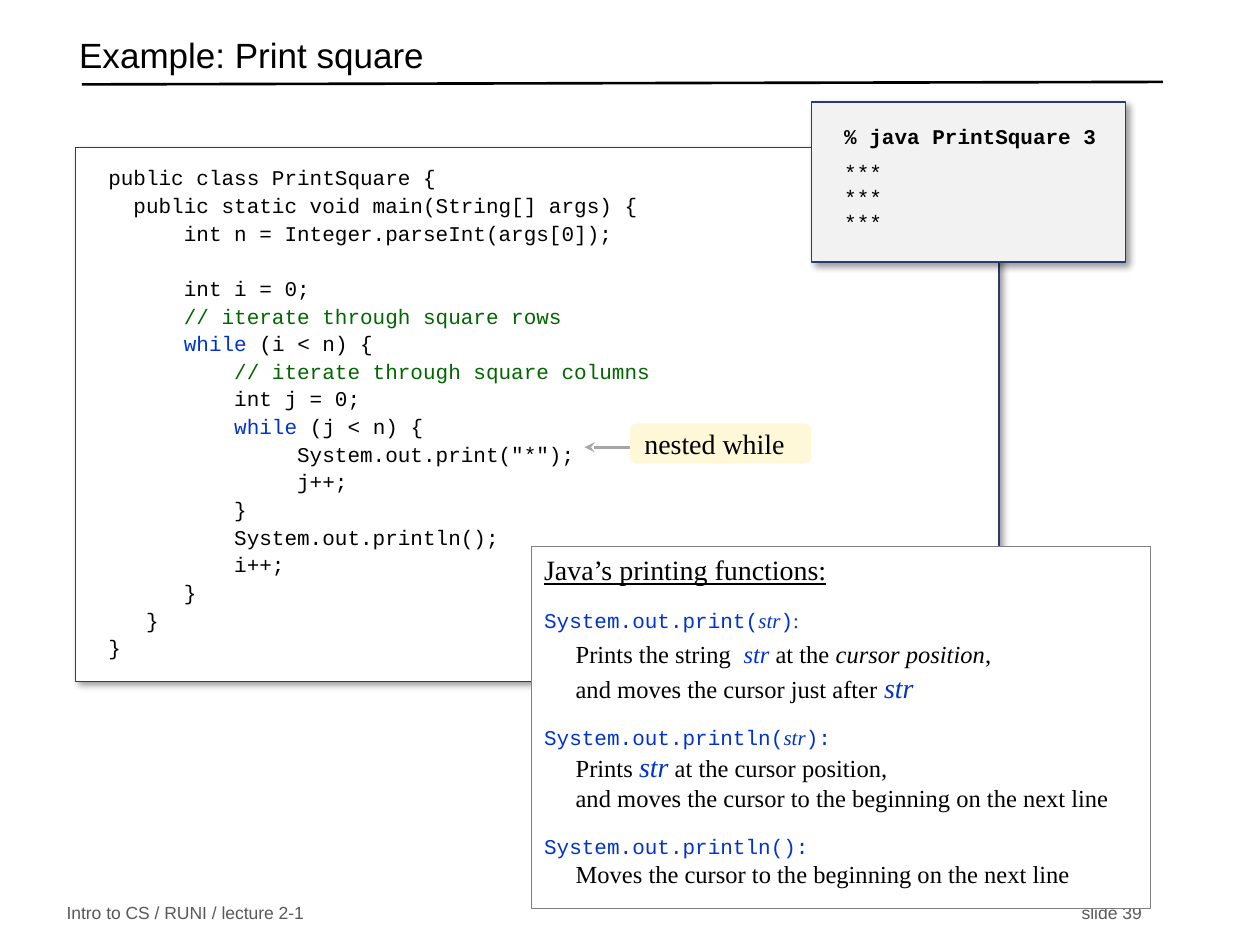
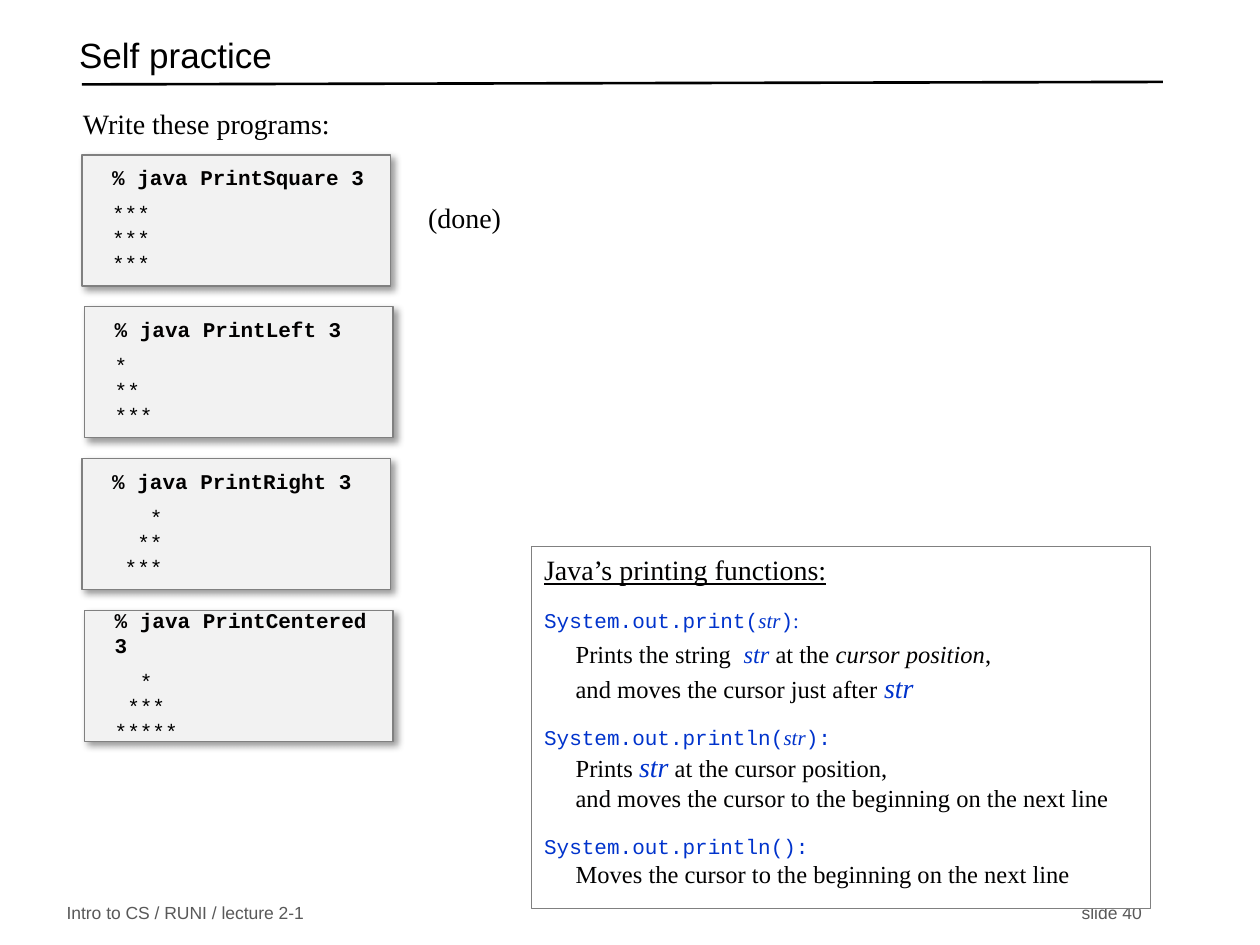
from dataclasses import dataclass

from lxml import etree
from pptx import Presentation
from pptx.dml.color import RGBColor
from pptx.enum.shapes import MSO_CONNECTOR, MSO_SHAPE
from pptx.enum.text import MSO_ANCHOR, PP_ALIGN
from pptx.oxml.ns import qn
from pptx.util import Inches, Pt

RECT, ROUNDED = MSO_SHAPE.RECTANGLE, MSO_SHAPE.ROUNDED_RECTANGLE
STRAIGHT = MSO_CONNECTOR.STRAIGHT
TOP, MIDDLE = MSO_ANCHOR.TOP, MSO_ANCHOR.MIDDLE
LEFT, RIGHT = PP_ALIGN.LEFT, PP_ALIGN.RIGHT


@dataclass(frozen=True)
class Theme:
    sans: str = "Arial"
    mono: str = "Courier New"
    serif: str = "Times New Roman"
    black: str = "000000"
    white: str = "FFFFFF"
    near_black: str = "010000"
    keyword: str = "0033CC"
    comment: str = "006600"
    navy: str = "293973"
    gray: str = "808080"
    arrow: str = "A6A6A6"
    footer: str = "595959"
    console: str = "F2F2F2"
    callout: str = "FFF8D8"
    title_size: int = 20
    heading_size: int = 16
    body_size: int = 14
    code_size: int = 12
    footer_size: int = 10
    code_leading: float = 15.8


THEME = Theme()
DEFAULT_INSETS = (0.1, 0.05, 0.1, 0.05)

SQUARE_CODE = """\
public class PrintSquare {
  public static void main(String[] args) {
      int n = Integer.parseInt(args[0]);

      int i = 0;
      // iterate through square rows
      while (i < n) {
          // iterate through square columns
          int j = 0;
          while (j < n) {
               System.out.print("*");
               j++;
          }
          System.out.println();
          i++;
      }
   }
}"""

SQUARE_OUTPUT = ("***", "***", "***")
PRACTICE_PROGRAMS = [
    ("PrintSquare", SQUARE_OUTPUT),
    ("PrintLeft", ("*", "**", "***")),
    ("PrintRight", ("   *", "  **", " ***")),
    ("PrintCentered", ("  *", " ***", "*****")),
]


# Text
def add_text(paragraph, text, *, font=THEME.serif, size=THEME.heading_size,
             color=THEME.black, bold=False, italic=False, underline=False):
    run = paragraph.add_run()
    run.text = text
    run.font.name = font
    run.font.size = Pt(size)
    run.font.color.rgb = RGBColor.from_string(color)
    run.font.bold = bold
    run.font.italic = italic
    run.font.underline = underline


def next_paragraph(frame, *, before=0, after=0, indent=0, spacing=None, align=LEFT):
    first = frame.paragraphs[0]
    paragraph = frame.add_paragraph() if first.runs else first
    if indent:
        paragraph._p.get_or_add_pPr().set("marL", str(Inches(indent)))
    paragraph.alignment = align
    paragraph.space_before, paragraph.space_after = Pt(before), Pt(after)
    if spacing:
        paragraph.line_spacing = spacing
    return paragraph


def set_frame(shape, insets=DEFAULT_INSETS, anchor=TOP):
    frame = shape.text_frame
    frame.word_wrap = True
    frame.vertical_anchor = anchor
    (frame.margin_left, frame.margin_top,
     frame.margin_right, frame.margin_bottom) = map(Inches, insets)
    return frame


def add_label(slide, box, text, *, anchor=TOP, spacing=None, align=LEFT, **text_format):
    frame = set_frame(slide.shapes.add_textbox(*map(Inches, box)), anchor=anchor)
    add_text(next_paragraph(frame, spacing=spacing, align=align), text, **text_format)


# Panels and lines
def add_panel(slide, box, fill, *, outline=None, kind=RECT, shadow=False,
              insets=DEFAULT_INSETS, anchor=TOP):
    panel = slide.shapes.add_shape(kind, *map(Inches, box))
    panel.fill.solid()
    panel.fill.fore_color.rgb = RGBColor.from_string(fill)
    if outline:
        panel.line.color.rgb = RGBColor.from_string(outline)
        panel.line.width = Pt(0.75)
    else:
        panel.line.fill.background()
    panel.shadow.inherit = False
    if shadow:
        effects = panel._element.spPr.find(qn("a:effectLst"))
        outer = etree.SubElement(effects, qn("a:outerShdw"), blurRad=str(Pt(4)),
                                 dist=str(Pt(3)), dir=str(45 * 60000),
                                 algn="tl", rotWithShape="0")
        tint = etree.SubElement(outer, qn("a:srgbClr"), val=THEME.black)
        etree.SubElement(tint, qn("a:alpha"), val="40000")
    return panel, set_frame(panel, insets, anchor)


def add_line(slide, start, end, color, arrow=False):
    line = slide.shapes.add_connector(STRAIGHT, *map(Inches, (*start, *end)))
    line.line.color.rgb = RGBColor.from_string(color)
    line.line.width = Pt(1.5)
    if arrow:
        etree.SubElement(line.line._get_or_add_ln(), qn("a:tailEnd"), type="stealth")
    etree.SubElement(line._element.spPr, qn("a:effectLst"))


# Lecture elements
def add_lecture_slide(deck, title, number):
    slide = deck.slides.add_slide(deck.slide_layouts[6])
    add_line(slide, (0.65, 0.67), (9.23, 0.65), THEME.black)
    for left, text, align in ((0.43, "Intro to CS / RUNI / lecture 2-1", LEFT),
                              (5.16, f"slide {number}", RIGHT)):
        add_label(slide, (left, 7.14, 4, 0.21), text, anchor=MIDDLE, align=align,
                  font=THEME.sans, size=THEME.footer_size, color=THEME.footer)
    add_label(slide, (0.53, 0.22, 8.6, 0.5), title, anchor=MIDDLE, spacing=0.7,
              font=THEME.sans, size=THEME.title_size)
    return slide


def add_code(slide, box, code):
    _, frame = add_panel(slide, box, THEME.white, outline=THEME.navy, shadow=True,
                         insets=(0.26, 0.12, 0.18, 0.29))
    gap = 0
    for line in code.splitlines():
        if not line:
            gap += THEME.code_leading
            continue
        paragraph = next_paragraph(frame, before=gap, spacing=Pt(THEME.code_leading))
        gap = 0
        body = line.lstrip()
        pieces = [(line, THEME.black)]
        if body.startswith("//"):
            pieces = [(line, THEME.comment)]
        elif body.startswith("while"):
            margin, word, rest = line.partition("while")
            pieces = [(margin + word, THEME.keyword), (rest, THEME.black)]
        for text, color in pieces:
            add_text(paragraph, text, font=THEME.mono, size=THEME.code_size, color=color)


def add_console(slide, box, program, output, outline, insets):
    _, frame = add_panel(slide, box, THEME.console, outline=outline, shadow=True,
                         insets=insets, anchor=MIDDLE)
    mono = dict(font=THEME.mono, size=THEME.code_size)
    add_text(next_paragraph(frame), f"% java {program} 3",
             color=THEME.near_black, bold=True, **mono)
    for row, stars in enumerate(output):
        add_text(next_paragraph(frame, before=0 if row else 6), stars, **mono)


def add_printing_functions(slide):
    _, frame = add_panel(slide, (4.22, 4.34, 4.91, 2.87), THEME.white, outline=THEME.gray)
    body = dict(size=THEME.body_size, color=THEME.near_black)
    code = dict(font=THEME.mono, size=THEME.code_size, color=THEME.keyword)
    argument = dict(color=THEME.keyword, italic=True)

    def signature(name, has_argument=True, ending=((":", code),)):
        paragraph = next_paragraph(frame, before=12)
        add_text(paragraph, f"System.out.{name}(", **code)
        if has_argument:
            add_text(paragraph, "str", size=THEME.code_size, **argument)
        add_text(paragraph, ")", **code)
        for text, text_format in ending:
            add_text(paragraph, text, **text_format)

    def description(*pieces, **spacing):
        paragraph = next_paragraph(frame, indent=0.25, **spacing)
        for text, changes in pieces:
            add_text(paragraph, text, **{**body, **changes})

    large_argument = ("str", {**argument, "size": THEME.heading_size})
    add_text(next_paragraph(frame), "Java’s printing functions:",
             color=THEME.near_black, underline=True)

    signature("print", ending=((":", {**code, "font": THEME.serif}),))
    description(("Prints the string  ", {}), ("str", argument), (" at the ", {}),
                ("cursor position", {"italic": True}), (",", {}), before=3.5, after=1)
    description(("and moves the cursor just after ", {}), large_argument)

    signature("println")
    description(("Prints ", {}), large_argument, (" at the cursor position,", {}))
    description(("and moves the cursor to the beginning on the next line", {}))

    signature("println", has_argument=False)
    description(("Moves the cursor to the beginning on the next line", {}))


def add_callout(slide, box, text, arrow_tip):
    left, top, _, height = box
    arrow_y = top + height / 2 + 0.03
    add_line(slide, (left + 0.36, arrow_y), (arrow_tip, arrow_y), THEME.arrow, arrow=True)
    callout, frame = add_panel(slide, box, THEME.callout, kind=ROUNDED,
                               insets=(0.1, 0.05, 0, 0.05), anchor=MIDDLE)
    callout.adjustments[0] = 0.17
    add_text(next_paragraph(frame), text)


# Slides
def build_print_square(deck):
    slide = add_lecture_slide(deck, "Example: Print square", 39)
    add_code(slide, (0.6, 1.17, 7.33, 4.24), SQUARE_CODE)
    add_console(slide, (6.44, 0.81, 2.49, 1.27), "PrintSquare", SQUARE_OUTPUT,
                THEME.navy, (0.26, 0.25, 0, 0.29))
    add_printing_functions(slide)
    add_callout(slide, (5, 3.36, 1.44, 0.32), "nested while", arrow_tip=4.64)


def build_self_practice(deck):
    slide = add_lecture_slide(deck, "Self practice", 40)
    for row, (program, output) in enumerate(PRACTICE_PROGRAMS):
        box = (0.65 + 0.02 * (row % 2), 1.23 + 1.205 * row, 2.45, 1.04)
        add_console(slide, box, program, output, THEME.gray, (0.24, 0, 0.1, 0))
    add_label(slide, (0.56, 0.8, 3.25, 0.39), "Write these programs:")
    add_printing_functions(slide)
    add_label(slide, (3.3, 1.54, 3.25, 0.39), "(done)")


def main():
    deck = Presentation()
    deck.slide_width, deck.slide_height = Inches(10), Inches(7.5)
    build_print_square(deck)
    build_self_practice(deck)
    deck.save("out.pptx")


if __name__ == "__main__":
    main()
